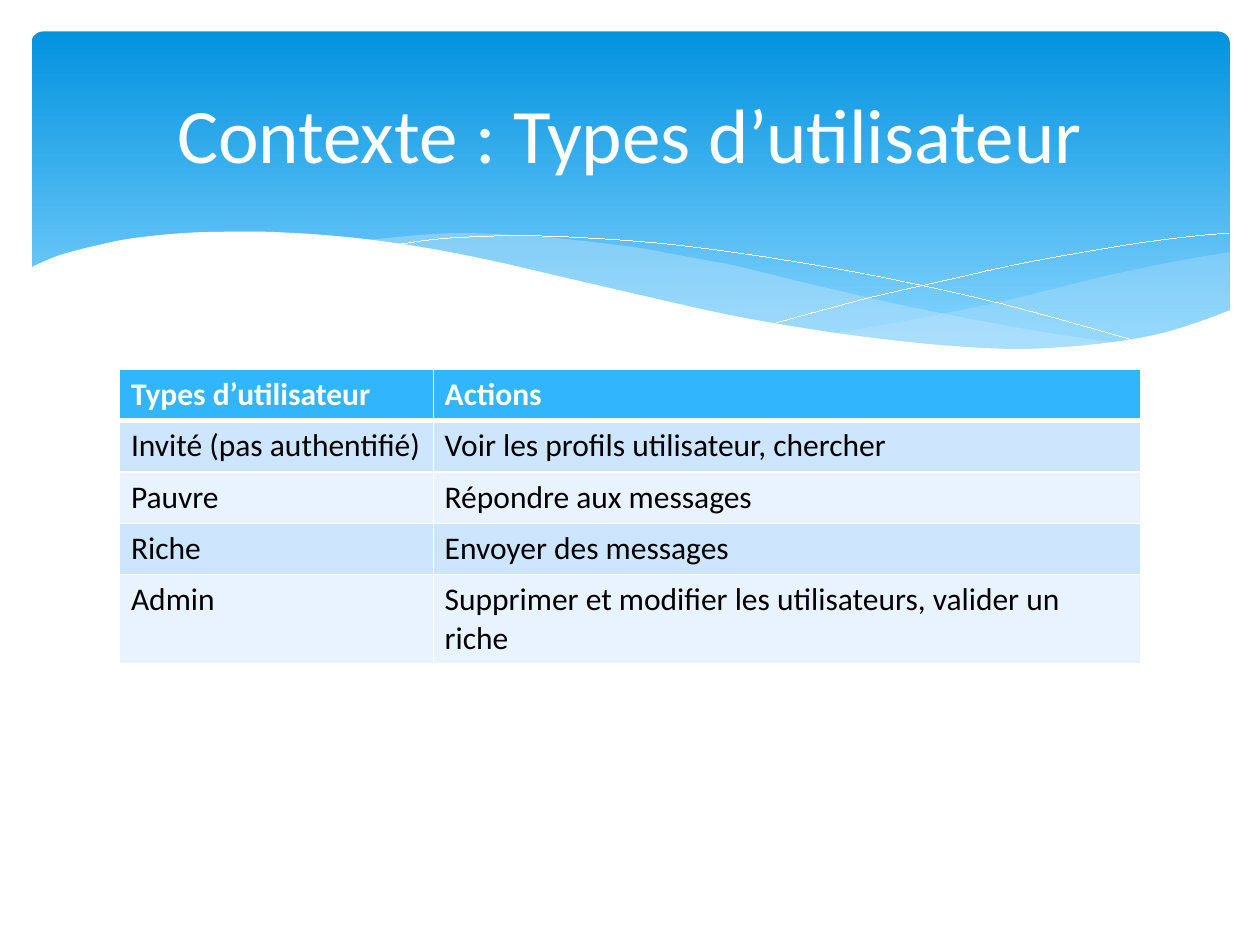
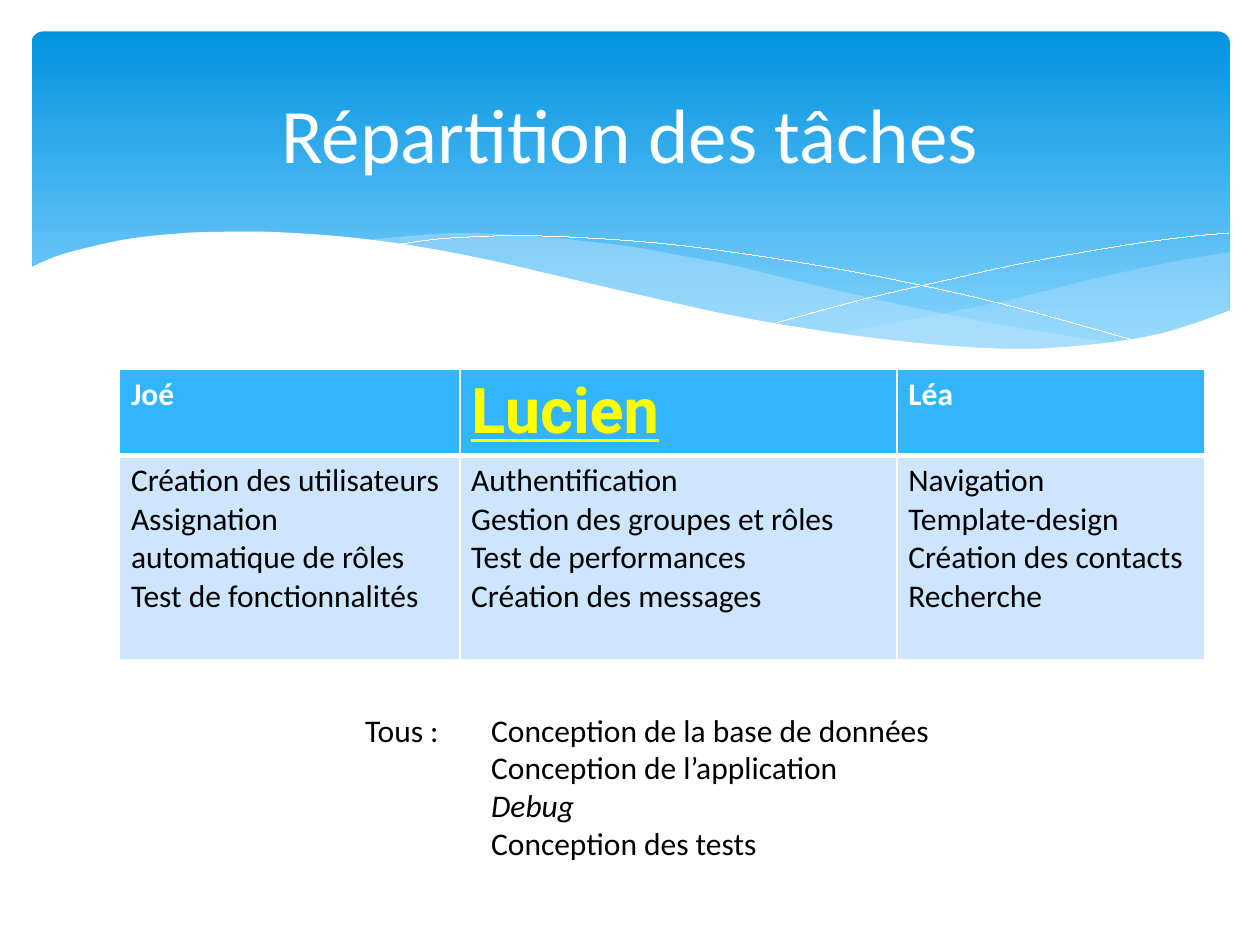
from lxml.etree import SubElement
from pptx import Presentation
from pptx.dml.color import RGBColor
from pptx.enum.shapes import MSO_SHAPE
from pptx.enum.text import MSO_ANCHOR, MSO_AUTO_SIZE, PP_ALIGN
from pptx.oxml.ns import qn
from pptx.util import Inches, Pt

COLORS = {
    "white": "FFFFFF", "text": "000000", "highlight": "FFFF00",
    "sky_top": "0293E0", "sky_bottom": "83D3FE", "veil": "C6E7FC",
    "header": "31B6FD", "odd_row": "CEE5FE", "even_row": "E8F3FF",
}
TITLE = {"name": "Calibri", "size": Pt(44), "color": "white"}
BODY = {"name": "Calibri", "size": Pt(18), "bold": False, "color": "text"}
HEADER = BODY | {"bold": True, "color": "white"}
STAR = HEADER | {"name": "Roboto", "size": Pt(36), "underline": True, "color": "highlight"}
CELL_MARGINS = {"margin_left": Inches(0.09), "margin_right": Inches(0.09),
                "margin_top": Inches(0.05), "margin_bottom": Inches(0.05)}

# Content: each cell is a list of paragraphs
USER_TYPES = {
    "title": "Contexte : Types d’utilisateur",
    "columns": [2.49, 5.61],
    "rows": [0.4, 0.41, 0.41, 0.4, 0.7],
    "cells": [
        [["Types d’utilisateur"], ["Actions"]],
        [["Invité (pas authentifié)"], ["Voir les profils utilisateur, chercher"]],
        [["Pauvre"], ["Répondre aux messages"]],
        [["Riche"], ["Envoyer des messages"]],
        [["Admin"], ["Supprimer et modifier les utilisateurs, valider un riche"]],
    ],
}
TASKS = {
    "title": "Répartition des tâches",
    "columns": [2.7, 3.47, 2.44],
    "rows": [0.68, 1.62],
    "cells": [
        [["Joé"], ["Lucien"], ["Léa"]],
        [
            ["Création des utilisateurs", "Assignation automatique de rôles",
             "Test de fonctionnalités"],
            ["Authentification", "Gestion des groupes et rôles",
             "Test de performances", "Création des messages"],
            ["Navigation", "Template-design", "Création des contacts", "Recherche"],
        ],
    ],
    "star": "Lucien",
}
SHARED_TASKS = [
    ("Tous : ", "Conception de la base de données", {}),
    ("", "Conception de l’application", {}),
    ("", "Debug", {"italic": True}),
    ("", "Conception des tests", {}),
]

# Waves under the title: each one is a list of smooth edges, joined by straight lines
RIGHT_VEIL = [
    [(9.76, 2), (9.35, 2.07), (8.91, 2.16), (8.61, 2.23), (8.05, 2.37), (7.53, 2.48),
     (7.06, 2.57), (6.61, 2.65)],
    [(6.61, 2.65), (7.05, 2.71), (7.45, 2.75), (7.81, 2.77), (8.14, 2.78), (8.54, 2.76),
     (8.89, 2.72), (9.21, 2.65), (9.49, 2.57), (9.76, 2.47)],
]
LEFT_VEIL = [
    [(8.93, 2.73), (8.37, 2.65), (7.75, 2.54), (7.06, 2.4), (6.29, 2.22), (5.84, 2.11),
     (5.41, 2.03), (5.02, 1.96), (4.42, 1.89), (3.99, 1.86), (3.61, 1.85), (3.28, 1.87),
     (2.86, 1.91)],
    [(2.86, 1.91), (3.42, 1.99), (4.04, 2.11), (4.49, 2.22), (5.3, 2.4), (6.01, 2.55),
     (6.65, 2.66), (7.22, 2.74), (7.73, 2.77), (8.18, 2.78), (8.57, 2.77), (8.93, 2.73)],
]
FALLING_LINE = [
    [(3.09, 1.95), (3.44, 1.9), (3.74, 1.88), (4.16, 1.87), (4.69, 1.89), (5.33, 1.94),
     (6.08, 2.04), (6.95, 2.19), (7.95, 2.41), (9.07, 2.72)],
]
RISING_LINE = [
    [(6.13, 2.57), (6.53, 2.46), (6.95, 2.35), (7.48, 2.23), (8.06, 2.1), (8.66, 1.99),
     (9.1, 1.92), (9.51, 1.87), (9.75, 1.85)],
]
WHITE_WAVE = [
    [(9.77, 2.46), (9.5, 2.56), (9.2, 2.65), (8.87, 2.71), (8.5, 2.75), (8.09, 2.77),
     (7.61, 2.75), (7.08, 2.7), (6.48, 2.62), (5.79, 2.5), (5.03, 2.33), (4.47, 2.2),
     (3.91, 2.07), (3.4, 1.97), (2.92, 1.9), (2.5, 1.86), (2.11, 1.84), (1.77, 1.84),
     (1.46, 1.85), (1.06, 1.89), (0.76, 1.95), (0.46, 2.03), (0.23, 2.13)],
    [(0.23, 3.29), (9.77, 3.29)],
]
WAVES = [
    {"edges": RIGHT_VEIL, "fill": "veil", "opacity": 29},
    {"edges": LEFT_VEIL, "fill": "veil", "opacity": 40},
    {"edges": FALLING_LINE},
    {"edges": RISING_LINE},
    {"edges": WHITE_WAVE, "fill": "white"},
]
TABLE_LEFT, TABLE_TOP = 0.95, 2.93
CURVE_STEPS = 5


def rgb(name):
    return RGBColor.from_string(COLORS[name])


def style(font, values):
    for key, value in values.items():
        if key == "color":
            font.color.rgb = rgb(value)
        else:
            setattr(font, key, value)


def smooth(edge):
    """Points of a Catmull-Rom curve through the points of an edge."""
    padded = [edge[0], *edge, edge[-1]]
    curve = [edge[0]]
    for knots in zip(padded, padded[1:], padded[2:], padded[3:]):
        for step in range(1, CURVE_STEPS + 1):
            t = step / CURVE_STEPS
            curve.append(tuple(
                b + 0.5 * t * (c - a + t * (2 * a - 5 * b + 4 * c - d
                                            + t * (3 * b - a - 3 * c + d)))
                for a, b, c, d in zip(*knots)))
    return curve


def draw_wave(shapes, edges, fill=None, opacity=100):
    start, *points = [(Inches(x), Inches(y))
                      for edge in edges
                      for x, y in (smooth(edge) if len(edge) > 2 else edge)]
    builder = shapes.build_freeform(*start)
    builder.add_line_segments(points, close=fill is not None)
    wave = builder.convert_to_shape()
    wave.shadow.inherit = False
    if fill is None:
        wave.fill.background()
        wave.line.color.rgb = rgb("white")
        # A zero width must be explicit, or the theme's width applies
        wave.element.spPr.find(qn("a:ln")).set("w", "0")
        return
    wave.line.fill.background()
    wave.fill.solid()
    wave.fill.fore_color.rgb = rgb(fill)
    if opacity < 100:
        color = wave.element.spPr.find(f"{qn('a:solidFill')}/{qn('a:srgbClr')}")
        SubElement(color, qn("a:alpha"), val=str(opacity * 1000))


def draw_sky(shapes):
    sky = shapes.add_shape(MSO_SHAPE.ROUNDED_RECTANGLE, Inches(0.25), Inches(0.25),
                           Inches(9.51), Inches(2.7))
    sky.adjustments[0] = 0.034
    sky.shadow.inherit = False
    sky.line.fill.background()
    sky.fill.gradient()
    sky.fill.gradient_angle = 270
    for stop, (position, color) in zip(sky.fill.gradient_stops,
                                       [(0, "sky_top"), (0.9, "sky_bottom")]):
        stop.position = position
        stop.color.rgb = rgb(color)


def move_band_to_layout(slide):
    """Put the drawn band behind the title of the layout, so every slide shows it."""
    layout = slide.slide_layout
    for holder in list(layout.placeholders)[1:]:
        layout.shapes.element.remove(holder.element)
    band = [shape for shape in slide.shapes if not shape.is_placeholder]
    for place, shape in enumerate(band, start=2):
        layout.shapes.element.insert(place, shape.element)


def set_title(slide, text):
    title = slide.shapes.title
    title.left, title.top, title.width, title.height = map(Inches, (0.5, 0.37, 9, 1.37))
    title.text_frame.text = text
    title.text_frame.vertical_anchor = MSO_ANCHOR.MIDDLE
    paragraph = title.text_frame.paragraphs[0]
    paragraph.alignment = PP_ALIGN.CENTER
    style(paragraph.runs[0].font, TITLE)


def add_borders(cell, top, bottom):
    properties = cell._tc.get_or_add_tcPr()
    for side, points in (("L", 1), ("R", 1), ("T", top), ("B", bottom)):
        border = SubElement(properties, qn(f"a:ln{side}"), w=str(Pt(points)))
        SubElement(SubElement(border, qn("a:solidFill")), qn("a:srgbClr"),
                   val=COLORS["white"])


def add_grid(slide, columns, rows, cells, star=None):
    grid = slide.shapes.add_table(len(rows), len(columns), Inches(TABLE_LEFT),
                                  Inches(TABLE_TOP), Inches(sum(columns)),
                                  Inches(sum(rows))).table
    for column, width in zip(grid.columns, columns):
        column.width = Inches(width)
    for index, (row, height, texts) in enumerate(zip(grid.rows, rows, cells)):
        row.height = Inches(height)
        background = "header" if index == 0 else ("even_row", "odd_row")[index % 2]
        for cell, lines in zip(row.cells, texts):
            for margin, length in CELL_MARGINS.items():
                setattr(cell, margin, length)
            add_borders(cell, top=3 if index == 1 else 1, bottom=3 if index == 0 else 1)
            cell.fill.solid()
            cell.fill.fore_color.rgb = rgb(background)
            cell.text_frame.text = "\n".join(lines)
            look = BODY if index else STAR if star in lines else HEADER
            for paragraph in cell.text_frame.paragraphs:
                style(paragraph.runs[0].font, look)


def add_shared_tasks(slide):
    frame = slide.shapes.add_textbox(*map(Inches, (2.8, 5.59, 4.84, 1.31))).text_frame
    frame.word_wrap = False
    frame.auto_size = MSO_AUTO_SIZE.SHAPE_TO_FIT_TEXT
    frame.text = "\n".join(f"{who}\t{task}" for who, task, _ in SHARED_TASKS)
    for paragraph, (_, _, emphasis) in zip(frame.paragraphs, SHARED_TASKS):
        stops = SubElement(paragraph._p.get_or_add_pPr(), qn("a:tabLst"))
        SubElement(stops, qn("a:tab"), pos=str(Inches(1)), algn="l")
        style(paragraph.runs[0].font, BODY | emphasis)


def main():
    deck = Presentation()
    deck.slide_width, deck.slide_height = Inches(10), Inches(7.5)
    title_only = deck.slide_layouts[5]
    types_slide, tasks_slide = [deck.slides.add_slide(title_only) for _ in range(2)]

    draw_sky(types_slide.shapes)
    for wave in WAVES:
        draw_wave(types_slide.shapes, **wave)
    move_band_to_layout(types_slide)

    for slide, content in ((types_slide, USER_TYPES), (tasks_slide, TASKS)):
        set_title(slide, content["title"])
        add_grid(slide, **{key: content[key] for key in content if key != "title"})
    add_shared_tasks(tasks_slide)
    deck.save("out.pptx")


if __name__ == "__main__":
    main()
